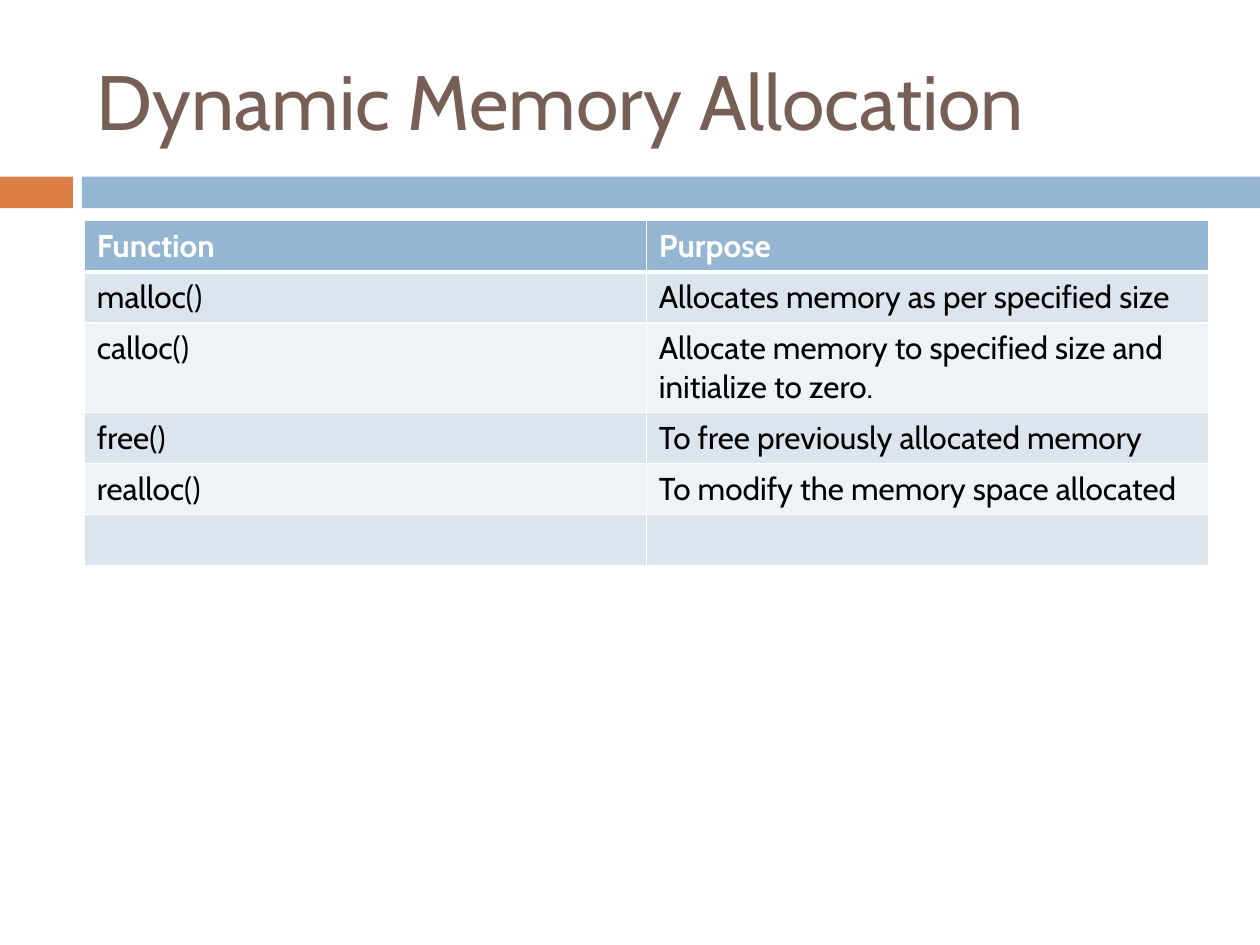
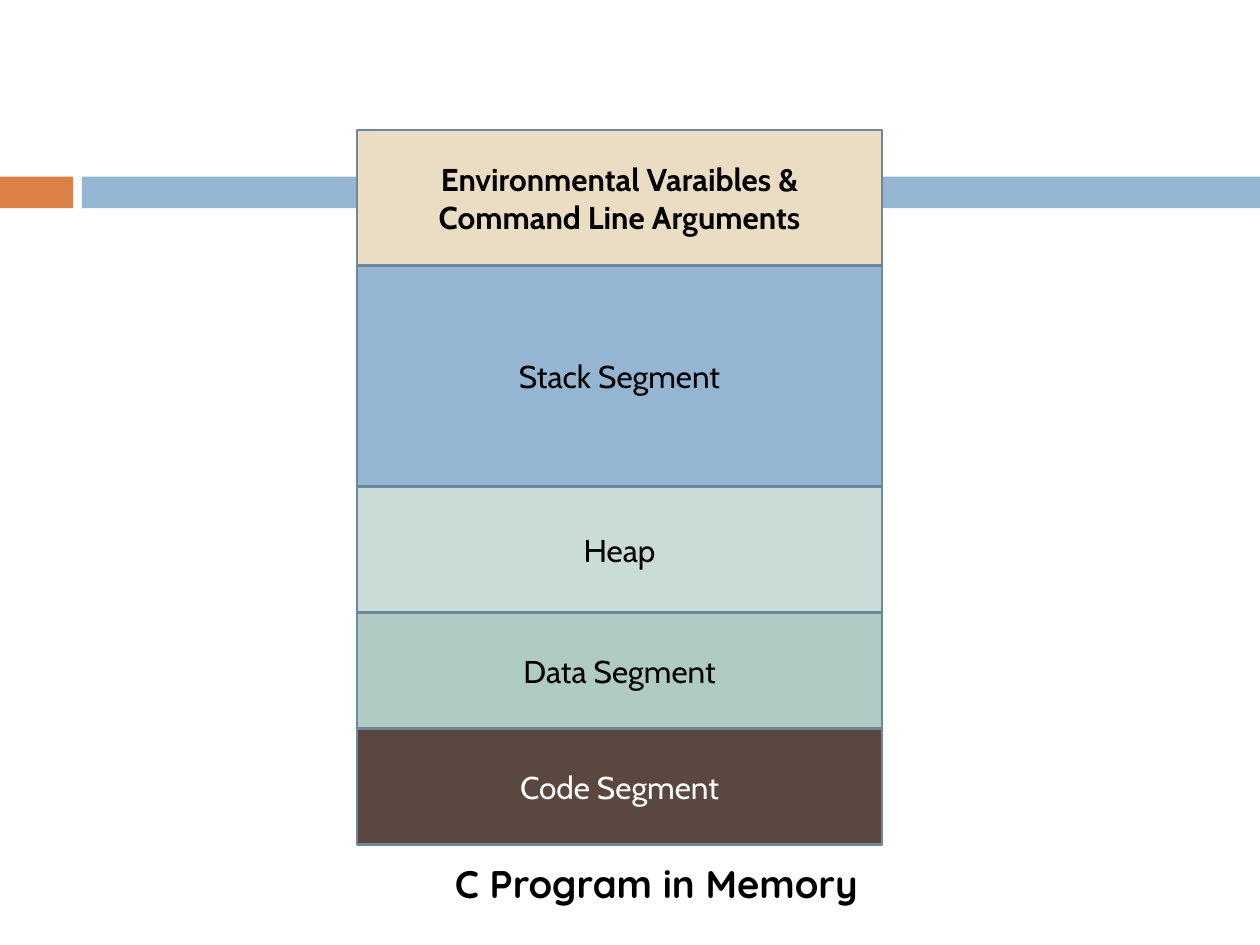
from lxml import etree
from pptx import Presentation
from pptx import util as u
from pptx.dml.color import RGBColor
from pptx.enum import shapes, text
from pptx.oxml import ns

WHITE = RGBColor(0xFF, 0xFF, 0xFF)
BLACK = RGBColor(0, 0, 0)
BROWN = RGBColor(0x77, 0x5F, 0x55)
ORANGE = RGBColor(0xDD, 0x80, 0x47)
BLUE = RGBColor(0x94, 0xB6, 0xD2)
STEEL = RGBColor(0x6D, 0x87, 0x9B)
SAND = RGBColor(0xEB, 0xDD, 0xC3)
MINT = RGBColor(0xCA, 0xDC, 0xD8)
SAGE = RGBColor(0xB0, 0xCA, 0xC4)
COCOA = RGBColor(0x59, 0x47, 0x40)
ODD = RGBColor(0xDC, 0xE5, 0xEE)
EVEN = RGBColor(0xEE, 0xF3, 0xF7)
BODY = "Cabin"
ROUND = "Quicksand"
LEFT = text.PP_ALIGN.LEFT
MID = text.PP_ALIGN.CENTER

WIDE, HIGH = 25.4, 19.05
SIDE, SPAN = 1.7, 22.66

ROWS = [
    ("Function", "Purpose"),
    ("malloc()", "Allocates memory as per specified size"),
    ("calloc()", "Allocate memory to specified size and initialize to zero."),
    ("free()", "To free previously allocated memory"),
    ("realloc()", "To modify the memory space allocated"),
    ("", ""),
]
PARTS = [
    ("Environmental Varaibles & Command Line Arguments", 2.74, SAND, BLACK, True),
    ("Stack Segment", 4.45, BLUE, BLACK, False),
    ("Heap", 2.54, MINT, BLACK, False),
    ("Data Segment", 2.34, SAGE, BLACK, False),
    ("Code Segment", 2.34, COCOA, WHITE, False),
]


def place(item, x, y, w, h):
    item.left, item.top = u.Cm(x), u.Cm(y)
    item.width, item.height = u.Cm(w), u.Cm(h)


def write(frame, words, size=18, color=BLACK, bold=False, align=LEFT, face=BODY):
    frame.word_wrap = True
    para = frame.paragraphs[0]
    para.alignment = align
    run = para.add_run()
    run.text = words
    font = run.font
    font.name, font.size, font.bold = face, u.Pt(size), bold
    font.color.rgb = color


def block(slide, x, y, w, h, fill, line=None):
    rect = slide.shapes.add_shape(
        shapes.MSO_SHAPE.RECTANGLE, u.Cm(x), u.Cm(y), u.Cm(w), u.Cm(h))
    rect.shadow.inherit = False
    rect.fill.solid()
    rect.fill.fore_color.rgb = fill
    if line is None:
        rect.line.fill.background()
    else:
        rect.line.color.rgb = line
        rect.line.width = u.Pt(1.5)
    return rect


def band(slide, y, h):
    block(slide, 0, y, 1.47, h, ORANGE)
    block(slide, 1.65, y, WIDE - 1.65, h, BLUE)


def title(slide, words, x, y, w, h):
    head = slide.shapes.title
    place(head, x, y, w, h)
    frame = head.text_frame
    frame.auto_size = text.MSO_AUTO_SIZE.NONE
    frame.vertical_anchor = text.MSO_ANCHOR.MIDDLE
    write(frame, words, 44, BROWN)


def edge(cell, first):
    props = cell._tc.get_or_add_tcPr()
    for side in "LRTB":
        width = 3 if first and side == "B" else 1
        line = etree.SubElement(props, ns.qn("a:ln" + side), w=str(u.Pt(width)))
        fill = etree.SubElement(line, ns.qn("a:solidFill"))
        etree.SubElement(fill, ns.qn("a:srgbClr"), val=str(WHITE))


def grid(slide, rows, x, y, w, step):
    count = len(rows[0])
    table = slide.shapes.add_table(
        len(rows), count, u.Cm(x), u.Cm(y), u.Cm(w), u.Cm(step * len(rows))).table
    for col in table.columns:
        col.width = u.Cm(w / count)
    for i, row in enumerate(rows):
        first = i == 0
        table.rows[i].height = u.Cm(step)
        for j, words in enumerate(row):
            cell = table.cell(i, j)
            edge(cell, first)
            cell.fill.solid()
            cell.fill.fore_color.rgb = BLUE if first else ODD if i % 2 else EVEN
            if words:
                write(cell.text_frame, words, color=WHITE if first else BLACK, bold=first)


def stack(slide, parts, x, y, w):
    for words, h, fill, color, bold in parts:
        frame = block(slide, x, y, w, h, fill, STEEL).text_frame
        frame.vertical_anchor = text.MSO_ANCHOR.MIDDLE
        write(frame, words, color=color, bold=bold, align=MID)
        y += h


def label(slide, words, x, y, w, h):
    box = slide.shapes.add_textbox(u.Cm(x), u.Cm(y), u.Cm(w), u.Cm(h))
    write(box.text_frame, words, 22, bold=True, align=MID, face=ROUND)


def start(deck, index):
    slide = deck.slides.add_slide(deck.slide_layouts[index])
    band(slide, 3.56, 0.64)
    return slide


def calls(deck):
    slide = start(deck, 5)
    title(slide, "Dynamic Memory Allocation", SIDE, 0.64, SPAN, 2.74)
    grid(slide, ROWS, SIDE, 4.45, SPAN, 1.03)


def layout(deck):
    slide = start(deck, 6)
    stack(slide, PARTS, 7.2, 2.62, 10.58)
    label(slide, "C Program in Memory", 3.39, 17.22, 19.68, 1.2)


deck = Presentation()
deck.slide_width, deck.slide_height = u.Cm(WIDE), u.Cm(HIGH)
calls(deck)
layout(deck)
deck.save("out.pptx")
